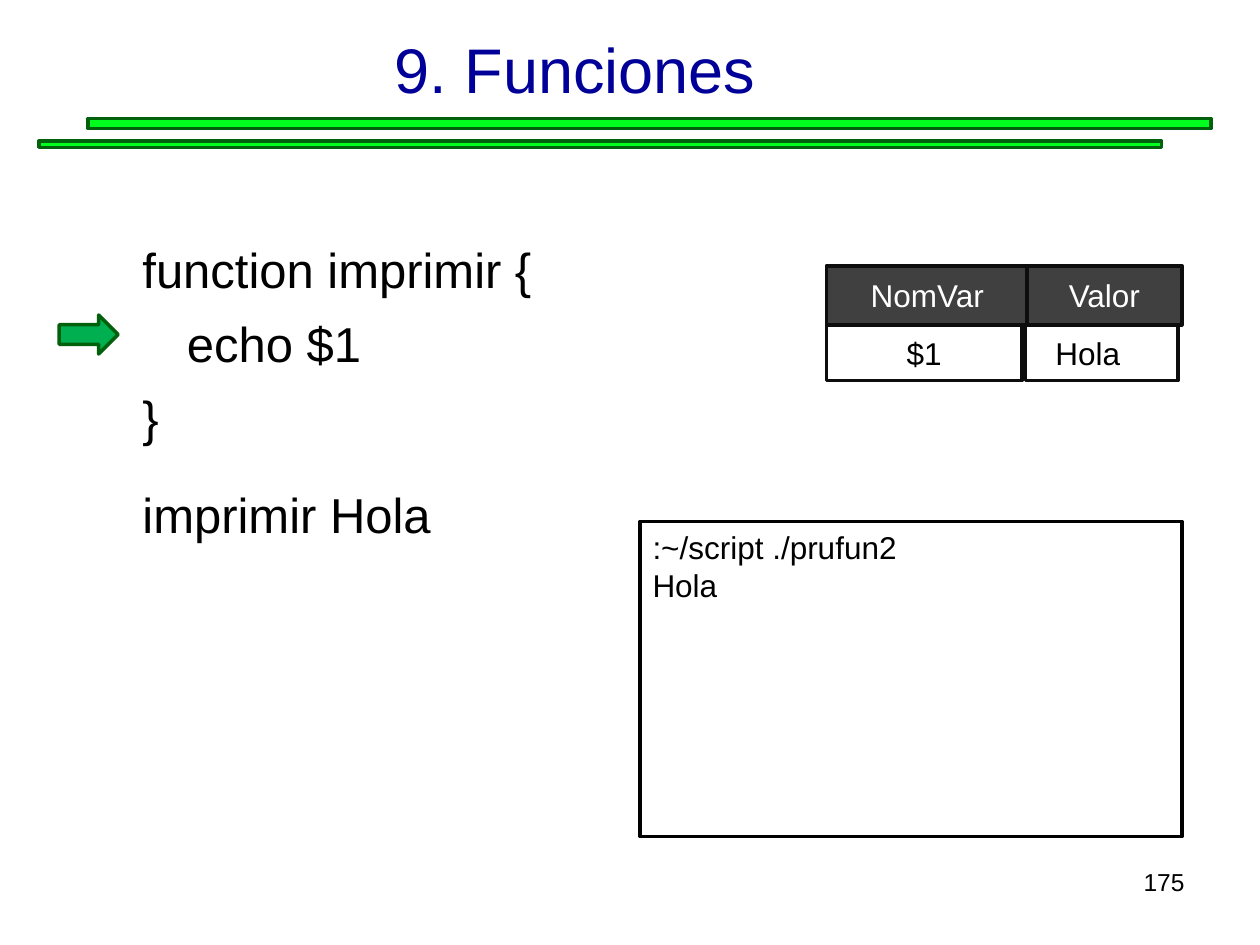
from pptx import Presentation
from pptx.dml.color import RGBColor
from pptx.enum.shapes import MSO_SHAPE as Shape
from pptx.enum.text import MSO_ANCHOR as Anchor, PP_ALIGN as Align
from pptx.util import Pt

BLACK = RGBColor(0x00, 0x00, 0x00)
WHITE = RGBColor(0xFF, 0xFF, 0xFF)
NAVY = RGBColor(0x00, 0x00, 0x99)
LIME = RGBColor(0x00, 0xFE, 0x1E)
DARK_GREEN = RGBColor(0x00, 0x60, 0x0B)
ARROW_GREEN = RGBColor(0x00, 0xB0, 0x50)
CHARCOAL = RGBColor(0x40, 0x40, 0x40)
NEAR_BLACK = RGBColor(0x0D, 0x0D, 0x0D)


class SlideBuilder:
    font = "Arial"
    line_width = 2
    cell_size = 18

    def __init__(self, slide):
        self.slide = slide

    def fill_text(self, shape, lines, size, color=BLACK, align=Align.LEFT,
                  anchor=Anchor.TOP, insets=(7.2, 3.6, 7.2, 3.6)):
        """Fill a shape with lines of (text, left indent, space before)."""
        frame = shape.text_frame
        frame.word_wrap = True
        frame.vertical_anchor = anchor
        (frame.margin_left, frame.margin_top,
         frame.margin_right, frame.margin_bottom) = map(Pt, insets)
        for index, (text, indent, space) in enumerate(lines):
            paragraph = frame.add_paragraph() if index else frame.paragraphs[0]
            paragraph.alignment = align
            paragraph.space_before = Pt(space)
            if indent:
                paragraph._p.get_or_add_pPr().set("marL", str(Pt(indent)))
            run = paragraph.add_run()
            run.text = text
            run.font.name = self.font
            run.font.size = Pt(size)
            run.font.color.rgb = color

    def text(self, box, lines, size, **style):
        shape = self.slide.shapes.add_textbox(*map(Pt, box))
        self.fill_text(shape, lines, size, **style)

    def shape(self, box, fill, line, kind=Shape.RECTANGLE):
        shape = self.slide.shapes.add_shape(kind, *map(Pt, box))
        shape.shadow.inherit = False
        shape.fill.solid()
        shape.fill.fore_color.rgb = fill
        shape.line.color.rgb = line
        shape.line.width = Pt(self.line_width)
        return shape

    def cell(self, box, text, fill, color, right_inset=7.2):
        shape = self.shape(box, fill, NEAR_BLACK)
        self.fill_text(shape, [(text, 0, 0)], self.cell_size, color=color,
                       align=Align.CENTER, anchor=Anchor.MIDDLE,
                       insets=(7.2, 3.6, right_inset, 3.6))


def main():
    presentation = Presentation()
    presentation.slide_width, presentation.slide_height = Pt(720), Pt(540)
    builder = SlideBuilder(
        presentation.slides.add_slide(presentation.slide_layouts[6]))

    builder.text((0, 0, 657.4, 78.5), [("9. Funciones", 0, 0)], 36,
                 color=NAVY, align=Align.CENTER, anchor=Anchor.MIDDLE)
    for bar in ((50.4, 67.7, 641.5, 5.8), (22.3, 80.6, 641.5, 3.6)):
        builder.shape(bar, LIME, DARK_GREEN)

    code = [("function imprimir {", 2, 0), ("echo $1", 27.4, 8.6),
            ("}", 2, 8.6), ("imprimir Hola", 2, 22)]
    builder.text((73.4, 137, 290, 190), code, 28, insets=(6, 0, 6, 0))
    builder.shape((33.8, 180, 33.8, 22.3), ARROW_GREEN, DARK_GREEN,
                  Shape.RIGHT_ARROW)

    builder.cell((472.3, 151.9, 115.2, 33.8), "NomVar", CHARCOAL, WHITE)
    builder.cell((586.8, 151.9, 88.6, 33.8), "Valor", CHARCOAL, WHITE)
    builder.cell((472.3, 185.8, 111.6, 31.7), "$1", WHITE, BLACK)
    builder.cell((586.1, 185.8, 87.1, 31.7), "Hola", WHITE, BLACK,
                 right_inset=23.2)

    console = builder.shape((365.8, 298.1, 309.6, 180), WHITE, BLACK)
    builder.fill_text(console,
                      [(":~/script ./prufun2", 0, 0), ("Hola", 0, 0)], 18)

    builder.text((516.2, 491.8, 167.8, 37.4), [("175", 0, 0)], 14,
                 align=Align.RIGHT)
    presentation.save("out.pptx")


if __name__ == "__main__":
    main()
